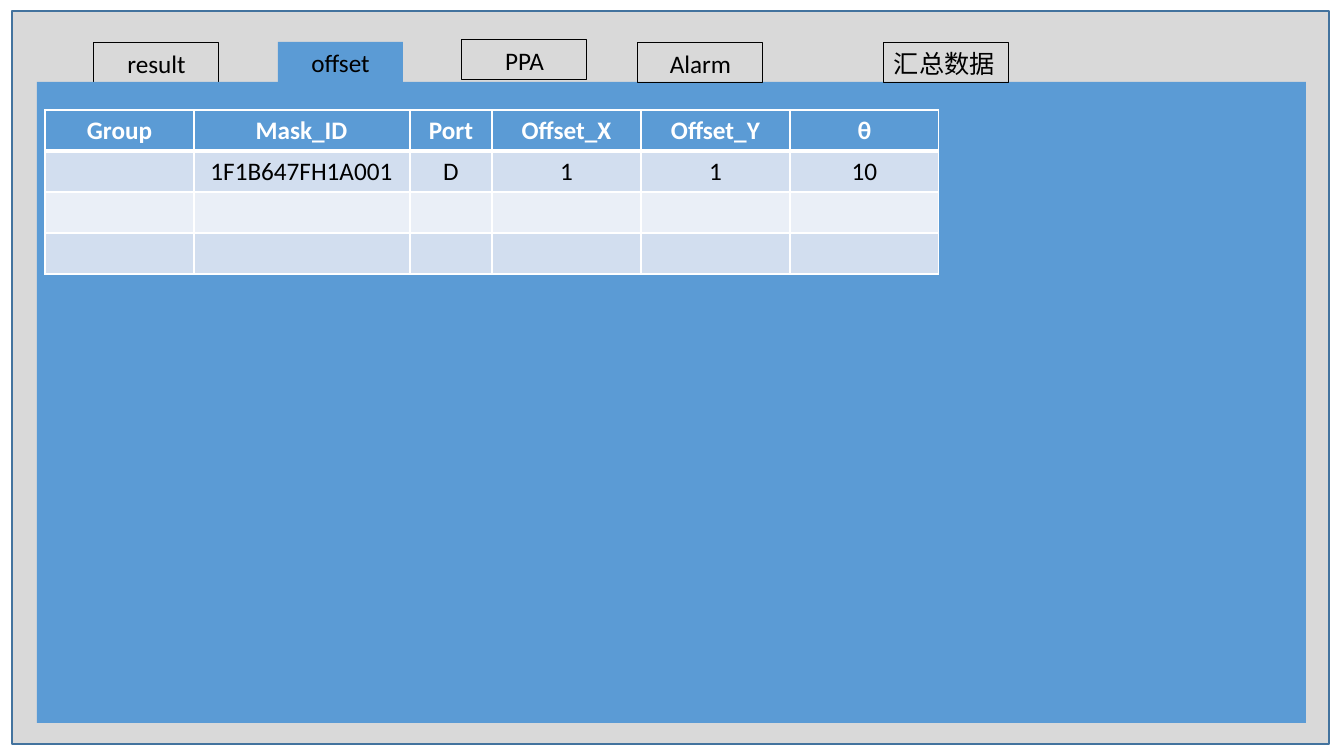
from lxml import etree
from pptx import Presentation
from pptx import util as u
from pptx.dml.color import RGBColor
from pptx.enum import shapes, text
from pptx.oxml.ns import qn

# Content, lengths in px
PX = 914400 / 100.8
SIZE = 1344, 756
BLUE, GREY, WHITE, BLACK = "5B9BD5", "D9D9D9", "FFFFFF", "000000"
BANDS = [BLUE, "D2DEEF", "EAEFF7", "D2DEEF"]
FRAME = (12, 11, 1317, 733)
PANEL = (37, 82, 1269, 641)
TAB_W, TAB_H, ROW_H = 125, 40, 41
MID, LEFT = text.PP_ALIGN.CENTER, text.PP_ALIGN.LEFT
BACK_TABS = [  # label, left, top, fill, line, align
    ("offset", 278, 42, BLUE, None, MID),
    ("result", 94, 43, None, BLACK, MID),
]
FRONT_TABS = [
    ("汇总数据", 884, 43, None, BLACK, LEFT),
    ("PPA", 462, 40, None, BLACK, MID),
    ("Alarm", 638, 43, None, BLACK, MID),
]
TABLES = [  # left, top, column widths, rows with text
    (193, 110, [217, 82, 149, 149, 149],
     [["Mask_ID", "Port", "Offset_X", "Offset_Y", "θ"],
      ["1F1B647FH1A001", "D", "1", "1", "10"]]),
    (45, 110, [149], [["Group"]]),
]


def px(n):
    return u.Emu(round(n * PX))


def rgb(code):
    return RGBColor.from_string(code)


def paint(fill, code):
    if code:
        fill.solid()
        fill.fore_color.rgb = rgb(code)
    else:
        fill.background()


def write(frame, label, color, bold=False, align=MID):
    para = frame.paragraphs[0]
    para.alignment = align
    run = para.add_run()
    run.text = label
    style = {"name": "Calibri", "size": u.Pt(18), "bold": bold}
    for key, val in style.items():
        setattr(run.font, key, val)
    run.font.color.rgb = rgb(color)


def box(area, fill, line=None, width=1):
    shape = slide.shapes.add_shape(
        shapes.MSO_SHAPE.RECTANGLE, *map(px, area))
    shape.shadow.inherit = False
    paint(shape.fill, fill)
    paint(shape.line.fill, line)
    if line:
        shape.line.width = u.Pt(width)
    return shape


def tab(label, left, top, fill, line, align):
    frame = box((left, top, TAB_W, TAB_H), fill, line, 0.75).text_frame
    style = {"word_wrap": True, "vertical_anchor": text.MSO_ANCHOR.TOP,
             "auto_size": text.MSO_AUTO_SIZE.SHAPE_TO_FIT_TEXT}
    for key, val in style.items():
        setattr(frame, key, val)
    write(frame, label, BLACK, align=align)


def edge(cell, side, width):
    props = cell._tc.get_or_add_tcPr()
    line = etree.SubElement(props, qn("a:ln" + side), w=str(u.Pt(width)))
    fill = etree.SubElement(line, qn("a:solidFill"))
    etree.SubElement(fill, qn("a:srgbClr"), val=WHITE)


def grid(left, top, cols, rows):
    area = left, top, sum(cols), ROW_H * len(BANDS)
    table = slide.shapes.add_table(
        len(BANDS), len(cols), *map(px, area)).table
    for col, width in zip(table.columns, cols):
        col.width = px(width)
    for r, band in enumerate(BANDS):
        table.rows[r].height = px(ROW_H)
        for c in range(len(cols)):
            cell = table.cell(r, c)
            # The rule below the header is thicker
            for side in "LRTB":
                thick = (r, side) in [(0, "B"), (1, "T")]
                edge(cell, side, 3 if thick else 1)
            paint(cell.fill, band)
            if r < len(rows):
                write(cell.text_frame, rows[r][c],
                      BLACK if r else WHITE, r == 0)


deck = Presentation()
deck.slide_width, deck.slide_height = map(px, SIZE)
slide = deck.slides.add_slide(deck.slide_layouts[6])

# Window frame, tabs behind the panel, panel
box(FRAME, GREY, "43739E")
for item in BACK_TABS:
    tab(*item)
box(PANEL, BLUE)

# Tables and the remaining tabs
for item in TABLES:
    grid(*item)
for item in FRONT_TABS:
    tab(*item)

deck.save("out.pptx")
